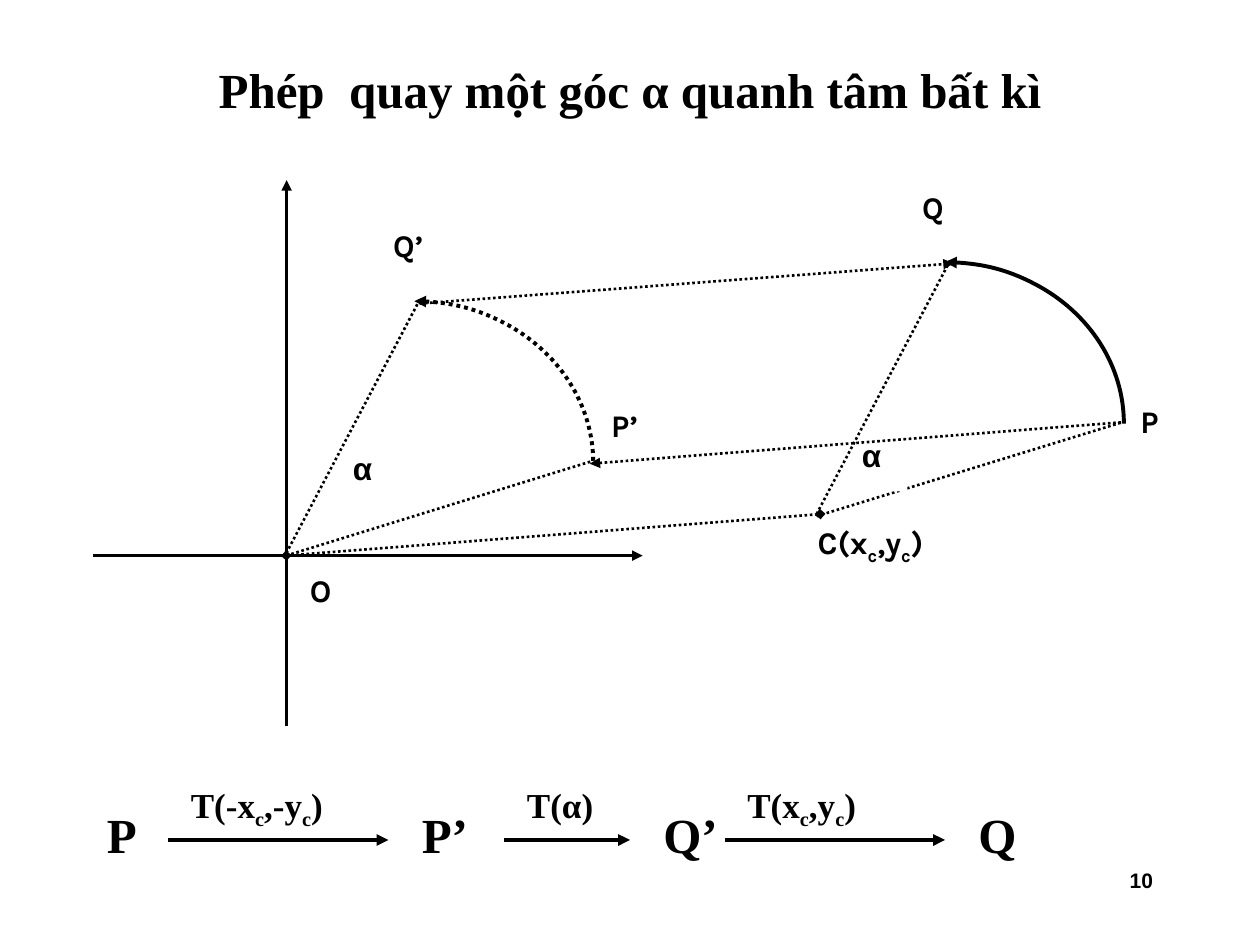
from lxml.etree import SubElement
from pptx import Presentation
from pptx.dml.color import RGBColor
from pptx.enum.dml import MSO_LINE
from pptx.enum.shapes import MSO_CONNECTOR, MSO_SHAPE
from pptx.enum.text import MSO_ANCHOR, PP_ALIGN
from pptx.oxml.ns import qn
from pptx.util import Pt

COLORS = {"ink": "000000", "paper": "FFFFFF"}
INK = RGBColor.from_string(COLORS["ink"])
PAPER = RGBColor.from_string(COLORS["paper"])
SERIF = "Times New Roman"


def write(shape, text, size, font, align=PP_ALIGN.LEFT, before=0):
    frame = shape.text_frame
    frame.word_wrap = True
    paragraph = frame.paragraphs[0]
    paragraph.alignment = align
    paragraph.space_before = Pt(before)
    paragraph.font.size = Pt(size)
    paragraph.font.name = font
    paragraph.font.bold = True
    paragraph.font.color.rgb = INK
    for index, part in enumerate(text.split("|")):
        run = paragraph.add_run()
        run.text = part
        if index % 2:
            run.font._element.set("baseline", "-25000")
    return frame


def style_line(shape, width, dotted=False, head=None, tail=None):
    shape.line.color.rgb = INK
    shape.line.width = Pt(width)
    if dotted:
        shape.line.dash_style = MSO_LINE.ROUND_DOT
    outline = shape.line._get_or_add_ln()
    for tag, arrow in (("a:headEnd", head), ("a:tailEnd", tail)):
        if arrow:
            SubElement(outline, qn(tag), type=arrow)
    properties = shape._element.spPr
    if properties.find(qn("a:effectLst")) is None:
        SubElement(properties, qn("a:effectLst"))


presentation = Presentation()
presentation.slide_width = Pt(720)
presentation.slide_height = Pt(540)
slide = presentation.slides.add_slide(presentation.slide_layouts[6])
shapes = slide.shapes

title = shapes.add_textbox(Pt(54), Pt(24), Pt(612), Pt(54))
title_frame = write(title, "Phép  quay một góc α quanh tâm bất kì", 28, SERIF, PP_ALIGN.CENTER)
title_frame.vertical_anchor = MSO_ANCHOR.MIDDLE

for left, top, dotted in ((437.8, 149.8, False), (134.6, 172.1, True)):
    arc = shapes.add_shape(MSO_SHAPE.ARC, Pt(left), Pt(top), Pt(204.4), Pt(184.4))
    arc.shadow.inherit = False
    arc.fill.background()
    style_line(arc, 2.25, dotted, head="triangle")

radii = [
    ((466.6, 295), (641.6, 241.2)),
    ((466.6, 293.8), (542.9, 149)),
    ((163.6, 317.5), (338.4, 263.5)),
    ((163.6, 316.1), (239.8, 171.4)),
]
for start, end in radii:
    radius = shapes.add_connector(MSO_CONNECTOR.STRAIGHT, *map(Pt, start + end))
    style_line(radius, 1.5, dotted=True)

labels = [
    ("α", "Arial", 492.5, 249.1, 26, 31.7),
    ("P", "Karla", 651.6, 229.7, 21, 28.8),
    ("Q", "Karla", 527, 107.3, 21, 28.8),
    ("O", "Karla", 177.1, 326.2, 21, 28.8),
    ("C(x|c|,y|c|)", "Karla", 467.3, 298.8, 108, 33),
    ("α", "Arial", 201.6, 256.3, 26.6, 35.3),
    ("P’", "Karla", 349.2, 231.8, 21, 28.8),
    ("Q’", "Karla", 224.6, 128.9, 27.4, 28.8),
]
for text, font, *box in labels:
    label = shapes.add_shape(MSO_SHAPE.RECTANGLE, *map(Pt, box))
    label.shadow.inherit = False
    label.fill.solid()
    label.fill.fore_color.rgb = PAPER
    label.line.fill.background()
    frame = write(label, text, 18, font)
    frame.vertical_anchor = MSO_ANCHOR.TOP
    frame.margin_left = frame.margin_right = frame.margin_top = frame.margin_bottom = 0

axes = [((163.8, 414.7), (163.8, 103)), ((53.3, 317.5), (367.2, 317.5))]
for start, end in axes:
    axis = shapes.add_connector(MSO_CONNECTOR.STRAIGHT, *map(Pt, start + end))
    style_line(axis, 1.5, tail="triangle")

translations = [
    ((163.6, 317.5), (468.7, 293.8), "diamond", "diamond"),
    ((337, 265), (642.2, 241.2), "triangle", None),
    ((239.8, 173.5), (545, 150.5), None, "triangle"),
]
for start, end, head, tail in translations:
    translation = shapes.add_connector(MSO_CONNECTOR.STRAIGHT, *map(Pt, start + end))
    style_line(translation, 1.5, True, head, tail)

for text, left in (("P", 54), ("P’", 234), ("Q’", 372), ("Q", 552)):
    point = shapes.add_textbox(Pt(left), Pt(456), Pt(48), Pt(41))
    write(point, text, 28, SERIF, before=17.5)

steps = [
    ("T(-x|c|,-y|c|)", 96, 126, 126),
    ("T(α)", 288, 72, 126),
    ("T(x|c|,y|c|)", 414, 126, 114),
]
for text, left, length, width in steps:
    arrow = shapes.add_connector(MSO_CONNECTOR.STRAIGHT, Pt(left), Pt(480), Pt(left + length), Pt(480))
    style_line(arrow, 2.25, tail="triangle")
    step = shapes.add_textbox(Pt(left + 6), Pt(444), Pt(width), Pt(34))
    write(step, text, 20, SERIF, before=12.5)

page_number = shapes.add_textbox(Pt(516), Pt(492), Pt(150), Pt(36))
write(page_number, "10", 12, "Arial", PP_ALIGN.RIGHT)

presentation.save("out.pptx")
